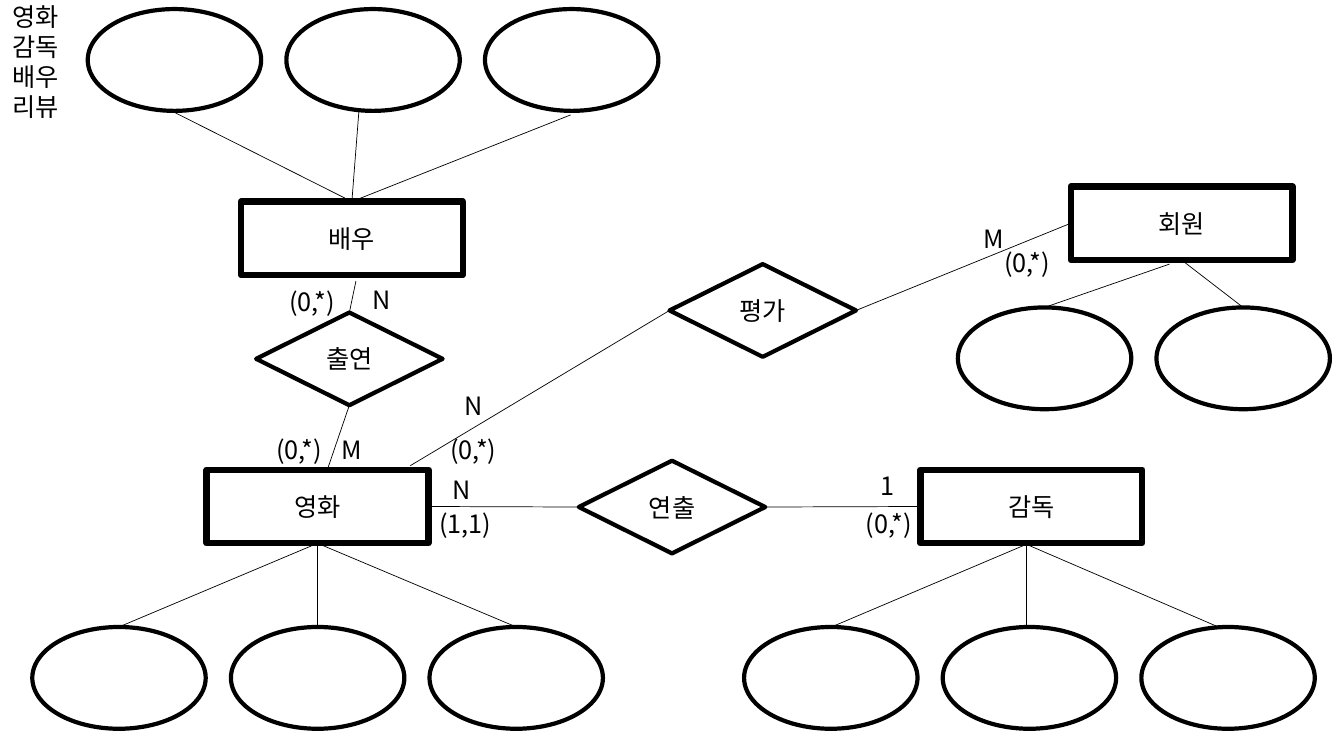
from lxml.etree import SubElement
from pptx import Presentation
from pptx.dml.color import RGBColor
from pptx.enum.shapes import MSO_CONNECTOR as Connector, MSO_SHAPE as Preset
from pptx.enum.text import MSO_ANCHOR as Anchor, MSO_AUTO_SIZE as AutoSize, PP_ALIGN as Align
from pptx.oxml.ns import qn
from pptx.shapes.autoshape import Shape
from pptx.util import Inches, Pt

TOP, LEFT, BOTTOM, RIGHT = range(4)


def color(value):
    return RGBColor.from_string(value)


class Diagram:
    font = "Noto Sans CJK KR"
    ink = "000000"
    paper = "FFFFFF"
    text_size = Pt(18)
    line_height = Pt(21.6)
    attribute_step = 1.97

    def __init__(self, slide):
        self.slide = slide

    def set_text(self, text_frame, text, alignment):
        text_frame.text = text
        for paragraph in text_frame.paragraphs:
            paragraph.alignment = alignment
            paragraph.line_spacing = self.line_height
            for run in paragraph.runs:
                run.font.size = self.text_size
                run.font.color.rgb = color(self.ink)
                run.font.name = self.font
                SubElement(run.font._element, qn("a:ea"), typeface=self.font)

    def node(self, preset, left, top, width, height, weight, text=""):
        shape = self.slide.shapes.add_shape(
            preset, Inches(left), Inches(top), Inches(width), Inches(height))
        shape.shadow.inherit = False
        shape.fill.solid()
        shape.fill.fore_color.rgb = color(self.paper)
        shape.line.color.rgb = color(self.ink)
        shape.line.width = Pt(weight)
        if text:
            shape.text_frame.vertical_anchor = Anchor.MIDDLE
            self.set_text(shape.text_frame, text, Align.CENTER)
        return shape

    def entity(self, text, left, top):
        return self.node(Preset.RECTANGLE, left, top, 2.2, 0.73, 4.5, text)

    def relationship(self, text, left, top):
        return self.node(Preset.DIAMOND, left, top, 1.85, 0.92, 3, text)

    def attributes(self, left, top, count):
        return [self.node(Preset.OVAL, left + i * self.attribute_step, top, 1.72, 1.01, 3)
                for i in range(count)]

    def label(self, text, left, top, width, height=0.4, inset=True):
        box = self.slide.shapes.add_textbox(
            Inches(left), Inches(top), Inches(width), Inches(height))
        frame = box.text_frame
        frame.word_wrap = True
        if inset:
            frame.auto_size = AutoSize.SHAPE_TO_FIT_TEXT
        else:
            frame.margin_left = frame.margin_top = frame.margin_right = frame.margin_bottom = 0
        self.set_text(frame, text, Align.LEFT)

    def link(self, begin, end):
        connector = self.slide.shapes.add_connector(Connector.STRAIGHT, 0, 0, 0, 0)
        if isinstance(begin[0], Shape):
            connector.begin_connect(*begin)
        else:
            connector.begin_x, connector.begin_y = map(Inches, begin)
        if isinstance(end[0], Shape):
            connector.end_connect(*end)
        else:
            connector.end_x, connector.end_y = map(Inches, end)
        connector.line.color.rgb = color(self.ink)
        connector.line.width = Pt(0.5)
        SubElement(connector._element.spPr, qn("a:effectLst"))


def main():
    presentation = Presentation()
    presentation.slide_width = Inches(13.33)
    presentation.slide_height = Inches(7.5)
    diagram = Diagram(presentation.slides.add_slide(presentation.slide_layouts[6]))

    diagram.label("영화\n감독\n배우\n리뷰", 0.12, 0.01, 0.75, 1.51, inset=False)

    diagram.attributes(0.87, 0.09, 3)
    movie_attributes = diagram.attributes(0.32, 6.22, 3)
    diagram.attributes(7.38, 6.22, 3)
    member_attributes = diagram.attributes(9.5, 3.05, 2)

    actor = diagram.entity("배우", 2.39, 2)
    movie = diagram.entity("영화", 2.05, 4.66)
    director = diagram.entity("감독", 9.13, 4.66)
    member = diagram.entity("회원", 10.62, 1.85)

    appearance = diagram.relationship("출연", 2.54, 3.1)
    direction = diagram.relationship("연출", 5.74, 4.57)
    rating = diagram.relationship("평가", 6.64, 2.62)

    for actor_attribute in [(1.74, 1.12), (3.56, 1.1), (5.66, 1.14)]:
        diagram.link(actor_attribute, (actor, TOP))
    for attribute in movie_attributes:
        diagram.link((movie, BOTTOM), (attribute, TOP))
    for director_attribute in [(8.2, 6.24), (10.18, 6.22), (12.13, 6.24)]:
        diagram.link((10.18, 5.4), director_attribute)
    diagram.link((11.6, 2.62), (member_attributes[0], TOP))
    diagram.link((member, BOTTOM), (member_attributes[1], TOP))

    diagram.link((3.53, 2.79), (appearance, TOP))
    diagram.link((appearance, BOTTOM), (3.25, 4.65))
    diagram.link((movie, RIGHT), (direction, LEFT))
    diagram.link((direction, RIGHT), (director, LEFT))
    diagram.link((member, LEFT), (rating, RIGHT))
    diagram.link((rating, LEFT), (4.07, 4.62))

    for text, left, top in [("N", 3.6, 2.77), ("M", 3.29, 4.26), ("N", 4.51, 3.82),
                            ("M", 9.66, 2.17), ("N", 4.39, 4.66), ("1", 8.63, 4.62)]:
        diagram.label(text, left, top, 0.4)
    for text, left, top in [("(0,*)", 2.77, 2.79), ("(0,*)", 2.64, 4.26),
                            ("(0,*)", 4.37, 4.26), ("(0,*)", 9.86, 2.4),
                            ("(1,1)", 4.26, 4.99), ("(0,*)", 8.49, 4.99)]:
        diagram.label(text, left, top, 0.73)

    presentation.save("out.pptx")


if __name__ == "__main__":
    main()
